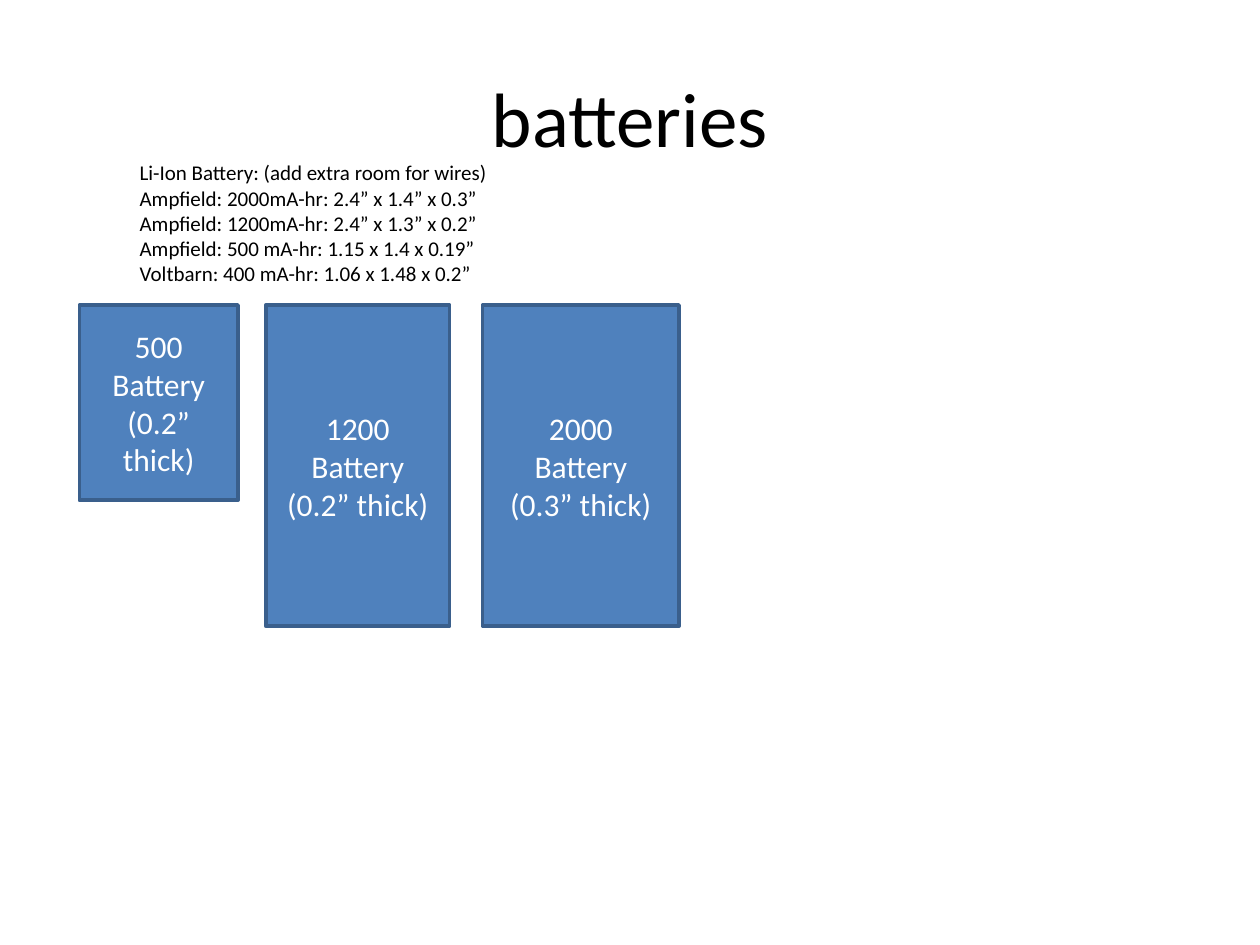
"""Build a slide comparing battery sizes."""
import pptx
import pptx.dml.color
import pptx.enum.shapes
import pptx.enum.text
import pptx.util

Inches = pptx.util.Inches
ALIGN = pptx.enum.text.PP_ALIGN
ANCHOR = pptx.enum.text.MSO_ANCHOR

NOTES = [
    "Li-Ion Battery: (add extra room for wires)",
    "Ampfield: 2000mA-hr: 2.4” x 1.4” x 0.3”",
    "Ampfield: 1200mA-hr: 2.4” x 1.3” x 0.2”",
    "Ampfield: 500 mA-hr: 1.15 x 1.4 x 0.19”",
    "Voltbarn: 400 mA-hr: 1.06 x 1.48 x 0.2”",
]
BATTERY_TOP = 2.42
BATTERIES = [
    ("500", "0.2", 0.63, 1.26, 1.55),
    ("1200", "0.2", 2.11, 1.46, 2.55),
    ("2000", "0.3", 3.83, 1.56, 2.55),
]


def color(value):
    """Return the colour for a hex string."""
    return pptx.dml.color.RGBColor.from_string(value)


def write(shape, lines, size, hex_color, alignment, anchor):
    """Put lines of text in a shape and format them."""
    text_frame = shape.text_frame
    text_frame.text = "\n".join(lines)
    text_frame.vertical_anchor = anchor
    for paragraph in text_frame.paragraphs:
        paragraph.alignment = alignment
        for run in paragraph.runs:
            run.font.name = "Calibri"
            run.font.size = pptx.util.Pt(size)
            run.font.color.rgb = color(hex_color)


def set_title(slide, text):
    """Place and fill the title placeholder."""
    title = slide.shapes.title
    title.left, title.top = Inches(0.5), Inches(0.3)
    title.width, title.height = Inches(9), Inches(1.25)
    write(title, [text], 44, "000000", ALIGN.CENTER, ANCHOR.MIDDLE)


def add_notes(slide, lines):
    """Add the list of battery dimensions."""
    box = slide.shapes.add_textbox(Inches(1.01), Inches(1.22), Inches(2.99), Inches(1.11))
    write(box, lines, 12, "000000", ALIGN.LEFT, ANCHOR.TOP)
    box.text_frame.word_wrap = False
    box.text_frame.auto_size = pptx.enum.text.MSO_AUTO_SIZE.SHAPE_TO_FIT_TEXT


def add_battery(slide, capacity, thickness, left, width, height):
    """Add a labelled battery outline."""
    battery = slide.shapes.add_shape(
        pptx.enum.shapes.MSO_SHAPE.RECTANGLE,
        Inches(left), Inches(BATTERY_TOP), Inches(width), Inches(height),
    )
    battery.shadow.inherit = False
    battery.fill.solid()
    battery.fill.fore_color.rgb = color("4F81BD")
    battery.line.color.rgb = color("3A5F8C")
    battery.line.width = pptx.util.Pt(2)
    lines = [capacity, "Battery", f"({thickness}” thick)"]
    write(battery, lines, 18, "FFFFFF", ALIGN.CENTER, ANCHOR.MIDDLE)
    battery.text_frame.word_wrap = True


def main():
    """Build and save the presentation."""
    presentation = pptx.Presentation()
    presentation.slide_width, presentation.slide_height = Inches(10), Inches(7.5)
    slide = presentation.slides.add_slide(presentation.slide_layouts[5])
    set_title(slide, "batteries")
    add_notes(slide, NOTES)
    for battery in BATTERIES:
        add_battery(slide, *battery)
    presentation.save("out.pptx")


if __name__ == "__main__":
    main()
